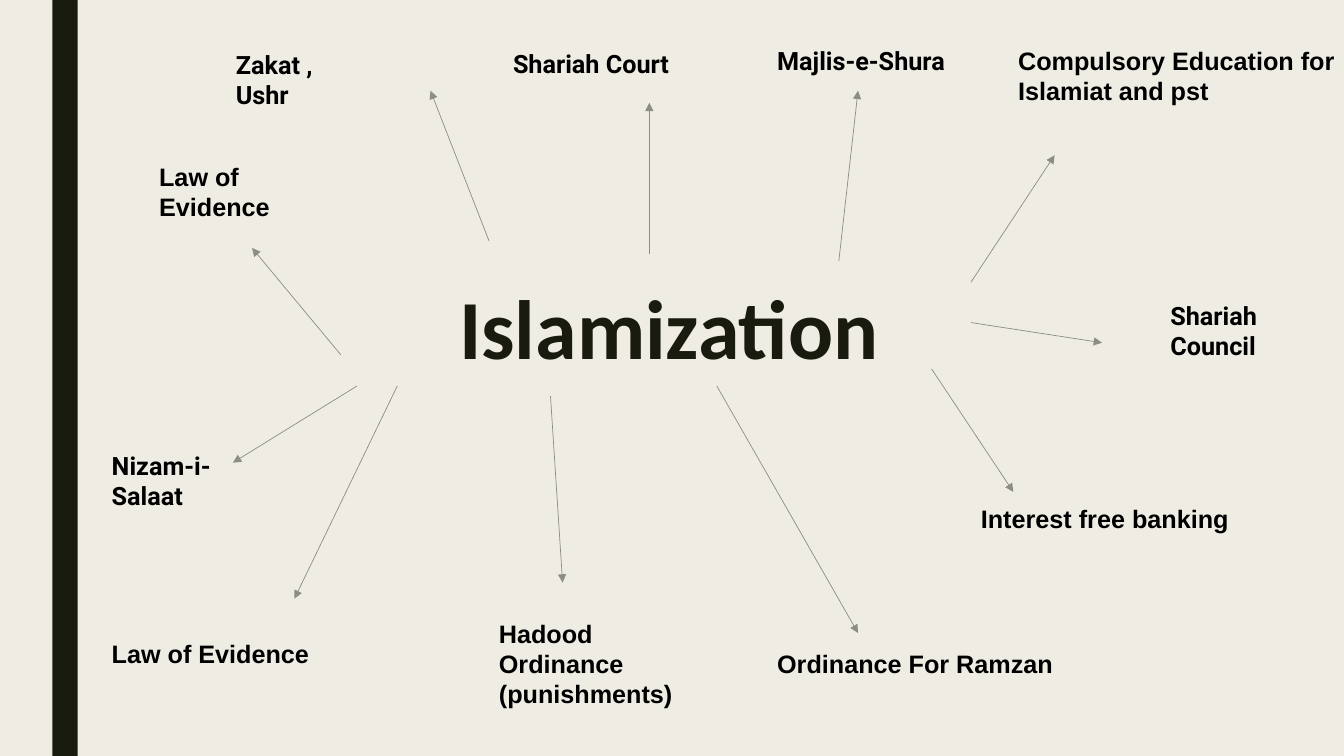
import lxml.etree
import pptx
import pptx.dml.color
import pptx.enum.shapes
import pptx.enum.text
import pptx.oxml.ns
import pptx.util

PIXEL = 9144
CREAM = pptx.dml.color.RGBColor(0xEF, 0xED, 0xE3)
DARK = pptx.dml.color.RGBColor(0x19, 0x1B, 0x0E)
BLACK = pptx.dml.color.RGBColor(0x00, 0x00, 0x00)
GRAY = pptx.dml.color.RGBColor(0x8C, 0x8D, 0x86)

LABELS = [
    ("Zakat , Ushr", "Roboto", (224, 44, 148, 71)),
    ("Shariah Court", "Roboto", (499, 43, 200, 40)),
    ("Majlis-e-Shura", "Roboto", (761, 40, 202, 40)),
    ("Compulsory Education for Islamiat and pst", "Arial", (1000, 40, 378, 71)),
    ("Shariah Council", "Roboto", (1151, 293, 167, 71)),
    ("Interest free banking", "Arial", (963, 494, 268, 40)),
    ("Ordinance For Ramzan", "Arial", (761, 638, 296, 40)),
    ("Hadood Ordinance\n(punishments)", "Arial", (485, 608, 211, 101)),
    ("Law of Evidence", "Arial", (101, 628, 237, 40)),
    ("Nizam-i-Salaat", "Roboto", (101, 442, 149, 71)),
    ("Law of Evidence", "Arial", (148, 155, 149, 71)),
]

ARROWS = [
    (485, 239, 427, 90),
    (644, 252, 644, 102),
    (832, 259, 851, 90),
    (963, 280, 1046, 154),
    (963, 320, 1093, 340),
    (924, 366, 1005, 488),
    (711, 383, 851, 628),
    (546, 393, 558, 578),
    (394, 383, 292, 594),
    (354, 383, 231, 459),
    (338, 352, 250, 246),
]


class MindMap:
    label_format = {"size": pptx.util.Pt(18), "bold": True}
    title_format = {"size": pptx.util.Pt(60), "bold": True, "name": "Calibri"}

    def __init__(self, deck):
        self.slide = deck.slides.add_slide(deck.slide_layouts[5])
        fill = self.slide.background.fill
        fill.solid()
        fill.fore_color.rgb = CREAM

    def scale(self, lengths):
        return [length * PIXEL for length in lengths]

    def set_text(self, frame, text, color, font_format):
        frame.text = text
        frame.word_wrap = True
        for para in frame.paragraphs:
            for span in para.runs:
                for name, value in font_format.items():
                    setattr(span.font, name, value)
                span.font.color.rgb = color

    def bar(self, bounds):
        shape = self.slide.shapes.add_shape(
            pptx.enum.shapes.MSO_SHAPE.RECTANGLE, *self.scale(bounds))
        shape.shadow.inherit = False
        shape.fill.solid()
        shape.fill.fore_color.rgb = DARK
        shape.line.fill.background()

    def title(self, text, bounds):
        title = self.slide.shapes.title
        for name, value in zip(("left", "top", "width", "height"), self.scale(bounds)):
            setattr(title, name, value)
        frame = title.text_frame
        self.set_text(frame, text, DARK, self.title_format)
        frame.auto_size = pptx.enum.text.MSO_AUTO_SIZE.NONE
        frame.vertical_anchor = pptx.enum.text.MSO_ANCHOR.TOP
        frame.paragraphs[0].alignment = pptx.enum.text.PP_ALIGN.CENTER
        frame.paragraphs[0].line_spacing = 0.89

    def label(self, text, font, bounds):
        box = self.slide.shapes.add_textbox(*self.scale(bounds))
        self.set_text(box.text_frame, text, BLACK, {**self.label_format, "name": font})
        box.text_frame.auto_size = pptx.enum.text.MSO_AUTO_SIZE.SHAPE_TO_FIT_TEXT

    def arrow(self, ends):
        arrow = self.slide.shapes.add_connector(
            pptx.enum.shapes.MSO_CONNECTOR.STRAIGHT, *self.scale(ends))
        arrow.line.color.rgb = GRAY
        arrow.line.width = pptx.util.Pt(0.5)
        properties = arrow.element.spPr
        outline = properties.find(pptx.oxml.ns.qn("a:ln"))
        lxml.etree.SubElement(outline, pptx.oxml.ns.qn("a:tailEnd"), type="triangle")
        lxml.etree.SubElement(properties, pptx.oxml.ns.qn("a:effectLst"))


def main():
    deck = pptx.Presentation()
    deck.slide_width = 1333 * PIXEL
    deck.slide_height = 750 * PIXEL
    page = MindMap(deck)
    page.bar((52, 0, 25, 750))
    page.title("Islamization", (231, 280, 865, 368))
    for text, font, bounds in LABELS:
        page.label(text, font, bounds)
    for ends in ARROWS:
        page.arrow(ends)
    deck.save("out.pptx")


if __name__ == "__main__":
    main()
